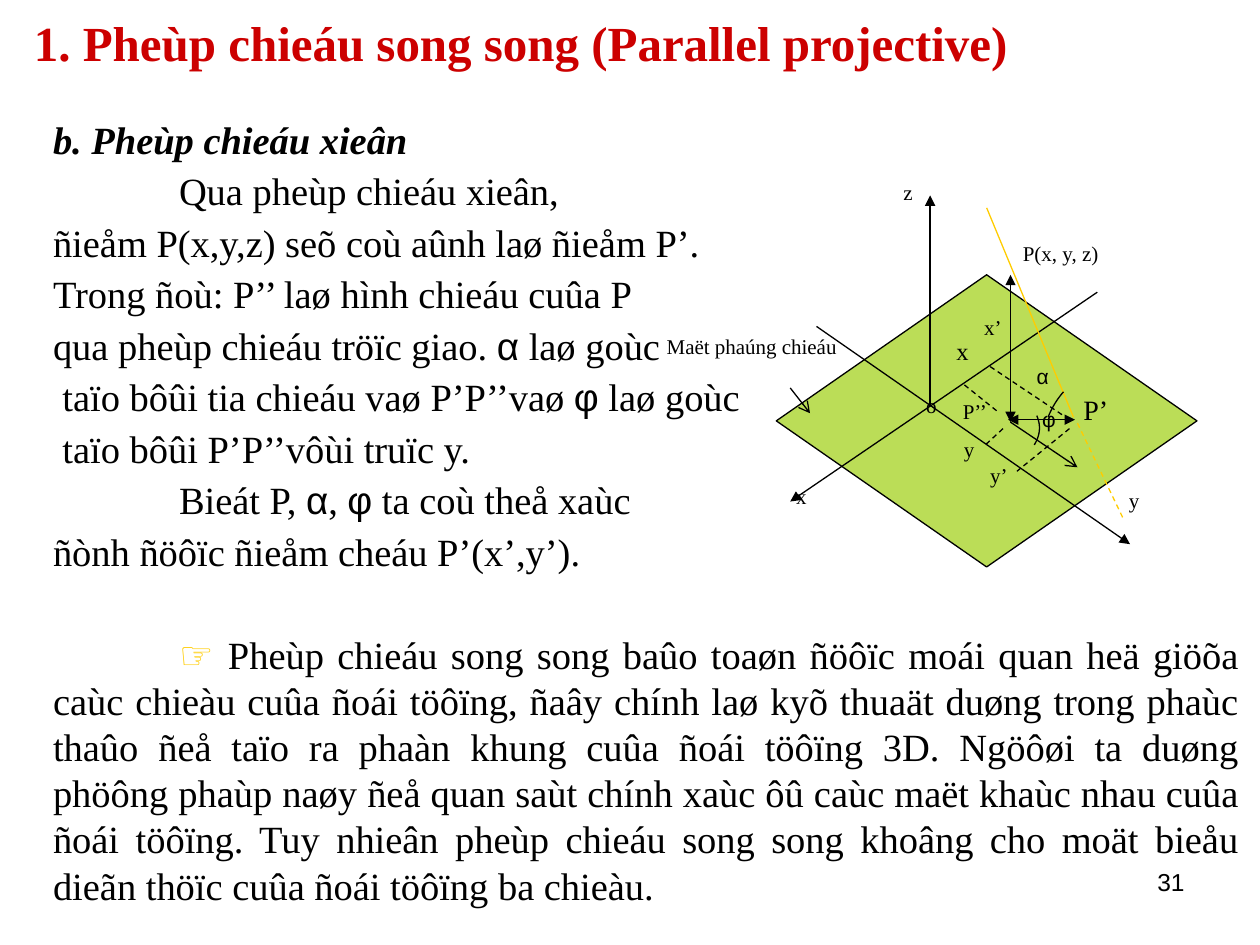
from lxml import etree
from pptx import Presentation
from pptx.dml.color import RGBColor
from pptx.enum.dml import MSO_LINE
from pptx.enum.shapes import MSO_CONNECTOR, MSO_SHAPE
from pptx.enum.text import MSO_ANCHOR, PP_ALIGN
from pptx.oxml.ns import qn
from pptx.util import Cm, Pt

DASH = MSO_LINE.DASH
STRAIGHT = MSO_CONNECTOR.STRAIGHT
DIAMOND = MSO_SHAPE.DIAMOND
MIDDLE = MSO_ANCHOR.MIDDLE
LEFT, RIGHT, JUSTIFY = PP_ALIGN.LEFT, PP_ALIGN.RIGHT, PP_ALIGN.JUSTIFY

SERIF, SANS = "Times New Roman", "Arial"
HEX = {"ink": "000000", "title": "CC0000", "ray": "FFCC00", "plane": "99CC00"}

ALPHA = ("α", {"font": SANS})
PHI = ("φ", {"font": SANS})
TAB = 2.54   # first-line indent
NUDGE = 0.19  # one space at body size

# Runs and paragraph format; a no-break space keeps "phöông phaùp" on one line
BODY = [
    ([("b. Pheùp chieáu xieân", {"bold": True, "italic": True})], {}),
    (["Qua pheùp chieáu xieân,"], {"first": TAB}),
    (["ñieåm P(x,y,z) seõ coù aûnh laø ñieåm P’."], {}),
    (["Trong ñoù: P’’ laø hình chieáu cuûa P"], {}),
    (["qua pheùp chieáu tröïc giao. ", ALPHA, " laø goùc"], {}),
    (["taïo bôûi tia chieáu vaø P’P’’vaø ", PHI, " laø goùc"], {"first": NUDGE}),
    (["taïo bôûi P’P’’vôùi truïc y."], {"first": NUDGE}),
    (["Bieát P, ", ALPHA, ", ", PHI, " ta coù theå xaùc"], {"first": TAB}),
    (["ñònh ñöôïc ñieåm cheáu P’(x’,y’)."], {}),
    ([("☞ ", {"font": SANS, "color": "ray", "italic": True}),
      "Pheùp chieáu song song baûo toaøn ñöôïc moái quan heä giöõa caùc "
      "chieàu cuûa ñoái töôïng, ñaây chính laø kyõ thuaät duøng trong phaùc "
      "thaûo ñeå taïo ra phaàn khung cuûa ñoái töôïng 3D. Ngöôøi ta duøng "
      "phöông phaùp naøy ñeå quan saùt chính xaùc ôû caùc maët khaùc nhau cuûa "
      "ñoái töôïng. Tuy nhieân pheùp chieáu song song khoâng cho moät bieåu "
      "dieãn thöïc cuûa ñoái töôïng ba chieàu."],
     {"first": TAB, "before": 29.5}),
]

# Start, end, format
LINES = [
    ((16.46, 6.58), (22.78, 10.97), {"tail": "triangle"}),
    ((22.12, 5.89), (15.93, 10.11), {"tail": "triangle"}),
    ((18.75, 8.18), (18.75, 3.94), {"tail": "triangle"}),
    ((20.37, 8.51), (21.72, 9.42), {"tail": "arrow"}),
    ((20.37, 5.54), (20.37, 8.51), {"head": "triangle", "tail": "triangle"}),
    ((15.93, 7.82), (16.33, 8.33), {"tail": "arrow"}),
    ((20.32, 8.46), (21.67, 8.46), {"head": "triangle", "tail": "triangle"}),
    ((19.89, 4.19), (21.64, 8.41), {"color": "ray"}),
    ((21.72, 8.53), (22.66, 10.49), {"color": "ray", "dash": True}),
    ((21.56, 8.46), (19.96, 7.39), {"dash": True}),
    ((21.56, 8.64), (20.5, 9.5), {"dash": True}),
    ((20.09, 8.28), (19.43, 7.75), {"dash": True}),
    ((20.22, 8.64), (19.84, 8.99), {"dash": True}),
]

# Words, left, top, width, format
LABELS = [
    ("z", 18.21, 3.61, 0.66, {}),
    ("x", 16.05, 9.75, 0.66, {}),
    ("y", 22.76, 9.83, 0.66, {}),
    ("o", 18.67, 7.92, 0.66, {}),
    ("P(x, y, z)", 20.62, 4.85, 2.29, {}),
    ("P’’", 19.41, 8.03, 0.94, {}),
    ("Maët phaúng chieáu", 13.44, 6.73, 3.63, {}),
    ("α", 20.9, 7.32, 0.66, {"font": SANS}),
    ("φ", 21.01, 8.2, 0.66, {"font": SANS}),
    ("P’", 21.84, 7.92, 0.94, {"size": 16}),
    ("x", 19.28, 6.78, 0.66, {"size": 14}),
    ("x’", 19.84, 6.35, 1.07, {}),
    ("y’", 19.96, 9.32, 1.07, {}),
    ("y", 19.43, 8.81, 1.07, {}),
]

# Start, control point, end of each angle mark
ARCS = [
    ((21.13, 8.41), (21.24, 8.13), (21.44, 7.9)),
    ((20.9, 8.38), (21.03, 8.68), (20.85, 8.97)),
]


def rgb(name):
    return RGBColor.from_string(HEX[name])


def write(para, runs, size=12, font=SERIF, color="ink", bold=False,
          italic=False, align=LEFT, first=0, before=0, after=0):
    """Fill a paragraph; a run is a string or a (string, overrides) pair."""
    para.alignment = align
    para.space_before, para.space_after = Pt(before), Pt(after)
    if first:
        para._p.get_or_add_pPr().set("indent", str(Cm(first)))
    for item in runs:
        words, own = (item, {}) if isinstance(item, str) else item
        look = {"font": font, "color": color, "bold": bold,
                "italic": italic, **own}
        run = para.add_run()
        run.text = words
        run.font.size = Pt(size)
        run.font.name = look["font"]
        run.font.bold, run.font.italic = look["bold"], look["italic"]
        run.font.color.rgb = rgb(look["color"])


def add_box(shapes, left, top, width, height, inset=0.0):
    box = shapes.add_textbox(Cm(left), Cm(top), Cm(width), Cm(height))
    frame = box.text_frame
    frame.word_wrap = True
    frame.margin_left = frame.margin_right = Cm(inset)
    frame.margin_top = frame.margin_bottom = Cm(inset / 2)
    return frame


def add_line(shapes, start, end, color="ink", dash=False, head=None, tail=None):
    line = shapes.add_connector(STRAIGHT, *map(Cm, start + end))
    line.line.color.rgb = rgb(color)
    line.line.width = Pt(0.75)
    if dash:
        line.line.dash_style = DASH
    props = line._element.spPr
    for tag, kind in (("a:headEnd", head), ("a:tailEnd", tail)):
        if kind:
            etree.SubElement(props.find(qn("a:ln")), qn(tag), type=kind)
    etree.SubElement(props, qn("a:effectLst"))


def outline(shape):
    shape.shadow.inherit = False
    shape.line.color.rgb = rgb("ink")
    shape.line.width = Pt(0.75)


def add_arc(shapes, start, bend, end, steps=12):
    """Draw a quadratic curve through short segments."""
    spots = []
    for step in range(steps + 1):
        t = step / steps
        spots.append(tuple(
            Cm((1 - t) ** 2 * a + 2 * t * (1 - t) * b + t ** 2 * c)
            for a, b, c in zip(start, bend, end)))
    pen = shapes.build_freeform(*spots[0])
    pen.add_line_segments(spots[1:], close=False)
    arc = pen.convert_to_shape()
    arc.fill.background()
    outline(arc)


def add_plane(shapes):
    plane = shapes.add_shape(DIAMOND, Cm(15.65), Cm(5.54), Cm(8.48), Cm(5.89))
    plane.fill.solid()
    plane.fill.fore_color.rgb = rgb("plane")
    tint = plane._element.spPr.find(".//" + qn("a:srgbClr"))
    etree.SubElement(tint, qn("a:alpha"), val="66000")
    outline(plane)


def add_title(slide):
    title = slide.shapes.title
    title.left, title.top = Cm(0.43), Cm(0.2)
    title.width, title.height = Cm(22.86), Cm(1.27)
    title.text_frame.vertical_anchor = MIDDLE
    write(title.text_frame.paragraphs[0],
          ["1. Pheùp chieáu song song (Parallel projective)"],
          size=28, color="title", bold=True)


def add_body(shapes):
    frame = add_box(shapes, 1.07, 2.34, 23.9, 16.89)
    for i, (runs, form) in enumerate(BODY):
        para = frame.add_paragraph() if i else frame.paragraphs[0]
        write(para, runs, size=22, align=JUSTIFY, after=3, **form)


def add_diagram(shapes):
    group = shapes.add_group_shape().shapes
    add_plane(group)
    for start, end, form in LINES:
        add_line(group, start, end, **form)
    for arc in ARCS:
        add_arc(group, *arc)
    for words, left, top, width, form in LABELS:
        frame = add_box(group, left, top, width, 0.97)
        write(frame.paragraphs[0], [words], **form)


def main():
    deck = Presentation()
    deck.slide_width, deck.slide_height = Cm(25.4), Cm(19.05)
    slide = deck.slides.add_slide(deck.slide_layouts[5])
    add_title(slide)
    number = add_box(slide.shapes, 18.21, 17.35, 5.92, 1.32, inset=0.25)
    write(number.paragraphs[0], ["31"], size=14, font=SANS, align=RIGHT)
    add_body(slide.shapes)
    add_diagram(slide.shapes)
    deck.save("out.pptx")


if __name__ == "__main__":
    main()
